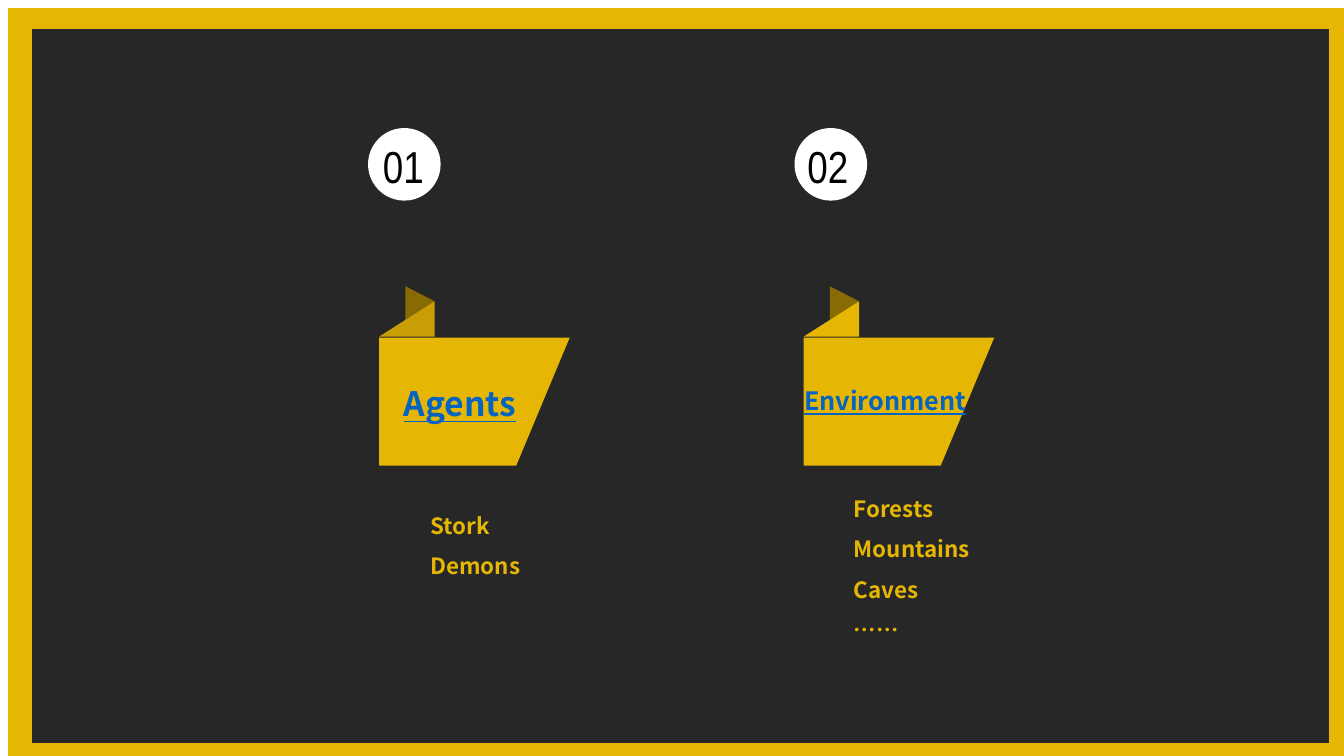
from lxml import etree
from pptx import Presentation
from pptx.dml.color import RGBColor
from pptx.enum.shapes import MSO_SHAPE
from pptx.enum.text import MSO_AUTO_SIZE, PP_ALIGN
from pptx.oxml.ns import qn
from pptx.util import Inches, Pt

RECTANGLE = MSO_SHAPE.RECTANGLE
OVAL = MSO_SHAPE.OVAL
RIGHT_TRIANGLE = MSO_SHAPE.RIGHT_TRIANGLE
LEFT, CENTER = PP_ALIGN.LEFT, PP_ALIGN.CENTER
GROW = MSO_AUTO_SIZE.SHAPE_TO_FIT_TEXT

COLORS = {
    "gold": "E5B704",
    "fold": "C89E04",
    "shade": "886B02",
    "dark": "282728",
    "white": "FFFFFF",
    "black": "000000",
    "topic": "0563C1",
}
BODY_FONT = "Noto Sans CJK SC"
NUMBER_FONT = "Arial Narrow"


def paint(shape, color):
    """Give a shape a flat fill with no outline or shadow."""
    shape.shadow.inherit = False
    shape.fill.solid()
    shape.fill.fore_color.rgb = RGBColor.from_string(COLORS[color])
    shape.line.fill.background()


def add_block(shapes, kind, box, color, flip=False):
    block = shapes.add_shape(kind, *map(Inches, box))
    paint(block, color)
    if flip:
        block._element.spPr.find(qn("a:xfrm")).set("flipH", "1")


def add_outline(shapes, points, color):
    start, *others = [(Inches(x), Inches(y)) for x, y in points]
    builder = shapes.build_freeform(*start)
    builder.add_line_segments(others, close=True)
    paint(builder.convert_to_shape(), color)


def add_text(shapes, text, box, size, color, font=BODY_FONT, bold=True,
             underline=False, align=LEFT, spacing=1.5, wrap=True):
    """Write each line of the text as one paragraph."""
    frame = shapes.add_textbox(*map(Inches, box)).text_frame
    frame.word_wrap = wrap
    frame.auto_size = GROW
    for index, line in enumerate(text.split("\n")):
        paragraph = frame.add_paragraph() if index else frame.paragraphs[0]
        paragraph.alignment = align
        paragraph.line_spacing = spacing
        run = paragraph.add_run()
        run.text = line
        run.font.size = Pt(size)
        run.font.name = font
        run.font.bold = bold
        run.font.underline = underline
        run.font.color.rgb = RGBColor.from_string(COLORS[color])
        # East Asian characters use the same font
        east_asian = etree.SubElement(run.font._element, qn("a:ea"))
        east_asian.set("typeface", font)


def add_ribbon(shapes, left, fold_color):
    """Draw a slanted banner with a folded end, starting at left."""
    top, bottom, fold_top = 3.35, 4.62, 2.99
    add_outline(shapes, [(left + 0.26, 3.2), (left + 0.55, fold_top),
                         (left + 0.26, 2.84)], "shade")
    add_block(shapes, RIGHT_TRIANGLE, (left, fold_top, 0.55, 0.35),
              fold_color, flip=True)
    add_outline(shapes, [(left, top), (left + 1.89, top),
                         (left + 1.36, bottom), (left, bottom)], "gold")


def add_number(shapes, number, circle_left, box_left, box_width):
    add_block(shapes, OVAL, (circle_left, 1.27, 0.72, 0.72), "white")
    add_text(shapes, number, (box_left, 1.33, box_width, 0.64), 32, "black",
             font=NUMBER_FONT, bold=False, spacing=1.0, wrap=False)


def add_topic(shapes, topic, box, size):
    add_text(shapes, topic, box, size, "topic", underline=True, align=CENTER)


def main():
    prs = Presentation()
    prs.slide_width, prs.slide_height = Inches(13.33), Inches(7.5)
    shapes = prs.slides.add_slide(prs.slide_layouts[6]).shapes

    # Gold frame around the dark panel
    add_block(shapes, RECTANGLE, (0.08, 0.08, 13.33, 7.5), "gold")
    add_block(shapes, RECTANGLE, (0.32, 0.29, 12.86, 7.08), "dark")

    # Agents
    add_ribbon(shapes, 3.76, "fold")
    add_number(shapes, "01", 3.65, 3.7, 0.61)
    add_topic(shapes, "Agents", (3.75, 3.55, 1.62, 0.7), 24)
    add_text(shapes, "Stork\nDemons", (4.17, 4.9, 2.11, 0.9), 16, "gold")

    # Environment
    add_ribbon(shapes, 7.97, "gold")
    add_number(shapes, "02", 7.88, 7.91, 0.67)
    add_topic(shapes, "Environment", (7.7, 3.62, 2.16, 0.55), 18)
    add_text(shapes, "Forests\nMountains\nCaves\n……",
             (8.37, 4.73, 2.11, 1.7), 16, "gold")

    prs.save("out.pptx")


if __name__ == "__main__":
    main()
